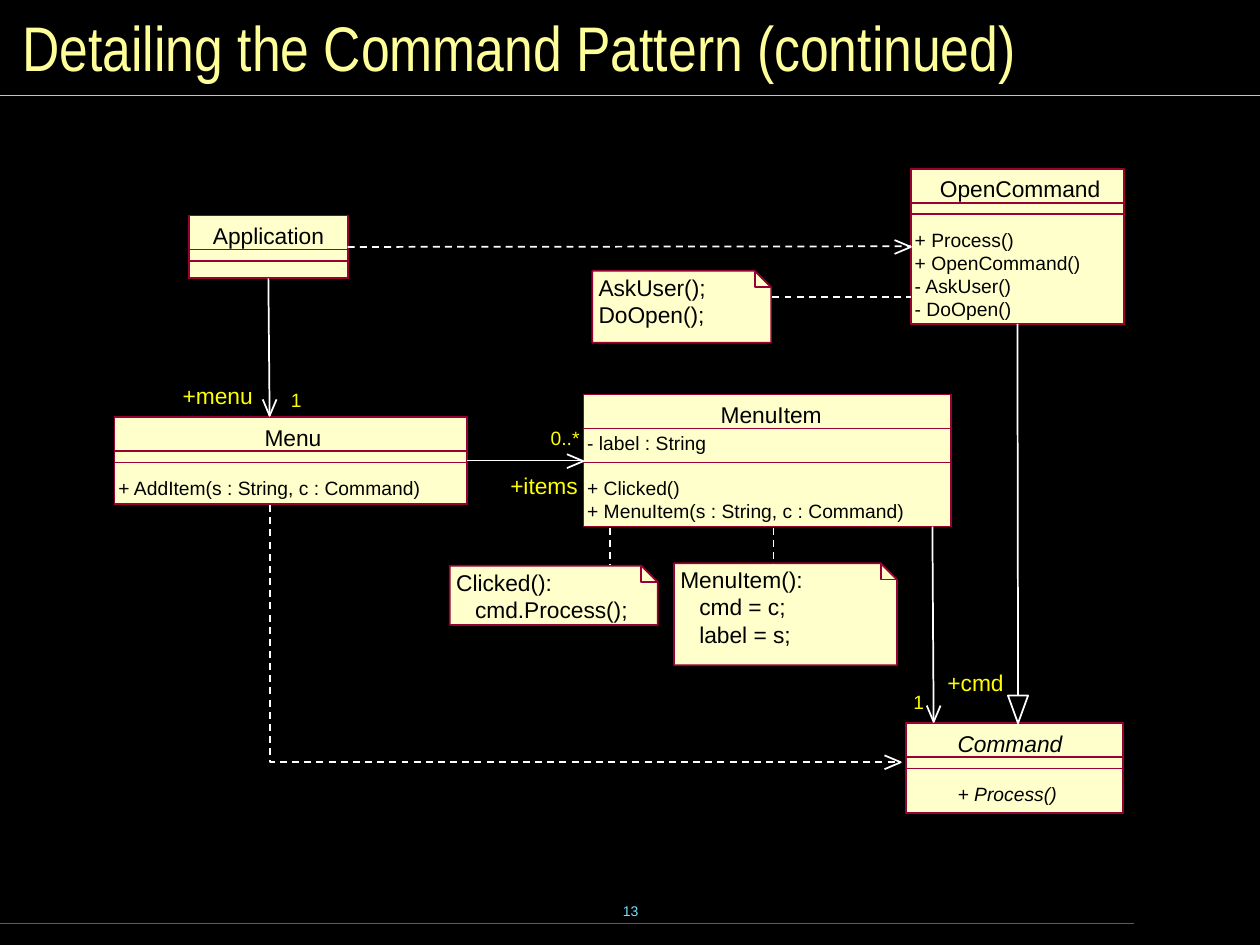
import lxml.etree
import pptx
import pptx.dml.color
import pptx.enum.dml
import pptx.enum.shapes
import pptx.enum.text
import pptx.oxml.ns
import pptx.util
from pptx.util import Inches

THEME = {
    "background": "000000", "title": "FFFF99", "paper": "FFFFCC", "border": "990033",
    "ink": "000000", "link": "FFFFFF", "label": "FFFF00",
    "rule": "73E1FF", "footer_rule": "007E9F",
    "font": "Arial", "title_font": "Arial Narrow",
    "title_size": 36, "name_size": 13, "member_size": 11, "number_size": 8,
    "rule_width": 0.75, "line_width": 1,
}

TITLE = "Detailing the Command Pattern (continued)"
SLIDE_NUMBER = "13"

# box is left, top, width, height; the two lefts place the text inside it
CLASSES = [
    {"name": "Application", "box": (1.5, 1.71, 1.26, 0.5), "name_left": 1.69},
    {"name": "Menu", "box": (0.91, 3.31, 2.8, 0.69), "name_left": 2.1,
     "operations": ["+ AddItem(s : String, c : Command)"]},
    {"name": "MenuItem", "box": (4.63, 3.13, 2.92, 1.05), "name_left": 5.72,
     "attributes": ["- label : String"],
     "operations": ["+ Clicked()", "+ MenuItem(s : String, c : Command)"]},
    {"name": "Command", "box": (7.19, 5.74, 1.72, 0.71), "name_left": 7.6,
     "member_left": 7.6, "abstract": True, "operations": ["+ Process()"]},
    {"name": "OpenCommand", "box": (7.23, 1.34, 1.69, 1.23), "name_left": 7.46,
     "operations": ["+ Process()", "+ OpenCommand()", "- AskUser()", "- DoOpen()"]},
]

NOTES = [
    ((3.57, 4.49, 1.65, 0.47), ["Clicked():", "   cmd.Process();"]),
    ((4.7, 2.15, 1.42, 0.57), ["AskUser();", "DoOpen();"]),
    ((5.35, 4.47, 1.77, 0.81), ["MenuItem():", "   cmd = c;", "   label = s;"]),
]

# An end is a point, or a class name with the site of its rectangle
TOP, LEFT, BOTTOM, RIGHT = range(4)
LINKS = [
    (("Application", BOTTOM), (2.14, 3.3), False),
    (("Menu", RIGHT), ("MenuItem", LEFT), False),
    (("Application", RIGHT), ("OpenCommand", LEFT), True),
    (("OpenCommand", BOTTOM), (8.08, 5.52), False),
    ((7.4, 4.18), (7.41, 5.73), False),
    ((6.13, 2.36), (7.23, 2.36), True),
    ((4.84, 4.19), (4.84, 4.48), True),
    ((6.14, 4.19), (6.14, 4.48), True),
]
DEPENDENCY_PATH = [(2.14, 4.01), (2.14, 6.05), (7.12, 6.05)]
INHERITANCE_HEAD = (8, 5.52, 0.16, 0.22)

# tip and direction of each open arrowhead
ARROW_TIPS = [((2.14, 3.3), "down"), ((7.41, 5.73), "down"),
              ((4.63, 3.66), "right"), ((7.23, 1.96), "right"), ((7.15, 6.05), "right")]

LABELS = [
    ("+menu", 1.45, 3.03, "name_size"), ("1", 2.31, 3.08, "member_size"),
    ("+items", 4.05, 3.74, "name_size"), ("0..*", 4.37, 3.38, "member_size"),
    ("+cmd", 7.52, 5.31, "name_size"), ("1", 7.25, 5.48, "member_size"),
]

NAME_HEIGHT = 0.27
EMPTY_ATTRIBUTES = 0.09
MEMBER_PITCH = 0.18
NOTE_PITCH = 0.21
FOLD = 0.13
HEAD_LENGTH, HEAD_HALF_WIDTH = 0.13, 0.055


def color(key):
    return pptx.dml.color.RGBColor.from_string(THEME[key])


def style_line(line, key, width="line_width", dashed=False):
    line.color.rgb = color(key)
    line.width = pptx.util.Pt(THEME[width])
    if dashed:
        line.dash_style = pptx.enum.dml.MSO_LINE.DASH


def style_shape(shape, line, fill=None, dashed=False):
    shape.shadow.inherit = False
    if fill:
        shape.fill.solid()
        shape.fill.fore_color.rgb = color(fill)
    else:
        shape.fill.background()
    style_line(shape.line, line, dashed=dashed)


def add_preset(slide, kind, box, line, fill=None):
    shape = slide.shapes.add_shape(kind, *map(Inches, box))
    style_shape(shape, line, fill)
    return shape


def add_outline(slide, points, line, fill=None, dashed=False):
    """Draw a path through the points, closed only when it has a fill."""
    points = [(Inches(x), Inches(y)) for x, y in points]
    builder = slide.shapes.build_freeform(*points[0])
    builder.add_line_segments(points[1:], close=fill is not None)
    style_shape(builder.convert_to_shape(), line, fill, dashed)


def add_text(slide, lines, box, size, ink, font="font", italic=False, margins=(0, 0),
             wrap=False, middle=False, centered=False):
    frame = slide.shapes.add_textbox(*map(Inches, box)).text_frame
    frame.word_wrap = wrap
    frame.margin_left = frame.margin_right = Inches(margins[0])
    frame.margin_top = frame.margin_bottom = Inches(margins[1])
    if middle:
        frame.vertical_anchor = pptx.enum.text.MSO_ANCHOR.MIDDLE
    frame.text = "\n".join(lines)
    for paragraph in frame.paragraphs:
        paragraph.font.name = THEME[font]
        paragraph.font.size = pptx.util.Pt(THEME[size])
        paragraph.font.color.rgb = color(ink)
        paragraph.font.italic = italic
        if centered:
            paragraph.alignment = pptx.enum.text.PP_ALIGN.CENTER


def add_line(slide, start, end, line, width="line_width", dashed=False, rectangles=None):
    """Join the ends that name a class to its rectangle; place the others."""
    joined = [isinstance(point[0], str) for point in (start, end)]
    places = [(0, 0) if named else point for named, point in zip(joined, (start, end))]
    connector = slide.shapes.add_connector(
        pptx.enum.shapes.MSO_CONNECTOR.STRAIGHT, *map(Inches, places[0] + places[1]))
    if joined[0]:
        connector.begin_connect(rectangles[start[0]], start[1])
    if joined[1]:
        connector.end_connect(rectangles[end[0]], end[1])
    style_line(connector.line, line, width, dashed)
    lxml.etree.SubElement(connector._element.spPr, pptx.oxml.ns.qn("a:effectLst"))


def add_class(slide, name, box, name_left, member_left=None, abstract=False,
              attributes=(), operations=()):
    """Draw the class box and return its outer rectangle."""
    left, top, width, height = box
    rectangle = pptx.enum.shapes.MSO_SHAPE.RECTANGLE
    outer = add_preset(slide, rectangle, box, "border", "paper")
    attributes_top = top + NAME_HEIGHT
    operations_top = attributes_top + EMPTY_ATTRIBUTES + MEMBER_PITCH * len(attributes)
    for divider in (attributes_top, operations_top):
        add_preset(slide, rectangle, (left, divider, width, top + height - divider), "border")
    add_text(slide, [name], (name_left, top + 0.05, 1.3, 0.22), "name_size", "ink",
             italic=abstract)
    for members, members_top in ((attributes, attributes_top + 0.02),
                                 (operations, operations_top + 0.11)):
        if members:
            members_box = (member_left or left + 0.03, members_top,
                           width - 0.2, MEMBER_PITCH * len(members))
            add_text(slide, members, members_box, "member_size", "ink", italic=abstract)
    return outer


def add_note(slide, box, lines):
    left, top, width, height = box
    right, bottom = left + width, top + height
    fold = [(right - FOLD, top), (right, top + FOLD)]
    add_outline(slide, [(left, top), *fold, (right, bottom), (left, bottom)],
                "border", "paper")
    add_outline(slide, [fold[0], (right - FOLD, top + FOLD), fold[1]], "border")
    add_text(slide, lines, (left + 0.05, top + 0.02, width - 0.1, NOTE_PITCH * len(lines)),
             "name_size", "ink")


def add_arrow_tip(slide, tip, direction):
    x, y = tip
    if direction == "down":
        ends = [(x + side, y - HEAD_LENGTH) for side in (-HEAD_HALF_WIDTH, HEAD_HALF_WIDTH)]
    else:
        ends = [(x - HEAD_LENGTH, y + side) for side in (-HEAD_HALF_WIDTH, HEAD_HALF_WIDTH)]
    add_outline(slide, [ends[0], tip, ends[1]], "link")


def main():
    presentation = pptx.Presentation()
    presentation.slide_width, presentation.slide_height = Inches(10), Inches(7.5)
    slide = presentation.slides.add_slide(presentation.slide_layouts[6])
    slide.background.fill.solid()
    slide.background.fill.fore_color.rgb = color("background")

    add_text(slide, [SLIDE_NUMBER], (3.42, 6.98, 3.17, 0.5), "number_size", "rule",
             margins=(0.1, 0.05), middle=True, centered=True, wrap=True)
    add_line(slide, (0, 7.33), (9, 7.33), "footer_rule", "rule_width")
    add_line(slide, (0, 0.76), (10, 0.76), "rule", "rule_width")
    add_text(slide, [TITLE], (0.08, 0.08, 9.84, 0.58), "title_size", "title", "title_font",
             margins=(0.1, 0.05), middle=True, wrap=True)

    rectangles = {item["name"]: add_class(slide, **item) for item in CLASSES}
    for box, lines in NOTES:
        add_note(slide, box, lines)
    for start, end, dashed in LINKS:
        add_line(slide, start, end, "link", dashed=dashed, rectangles=rectangles)
    add_outline(slide, DEPENDENCY_PATH, "link", dashed=True)
    add_preset(slide, pptx.enum.shapes.MSO_SHAPE.FLOWCHART_MERGE, INHERITANCE_HEAD, "link")
    for tip, direction in ARROW_TIPS:
        add_arrow_tip(slide, tip, direction)
    for text, left, top, size in LABELS:
        add_text(slide, [text], (left, top, 0.56, 0.22), size, "label")

    presentation.save("out.pptx")


if __name__ == "__main__":
    main()
